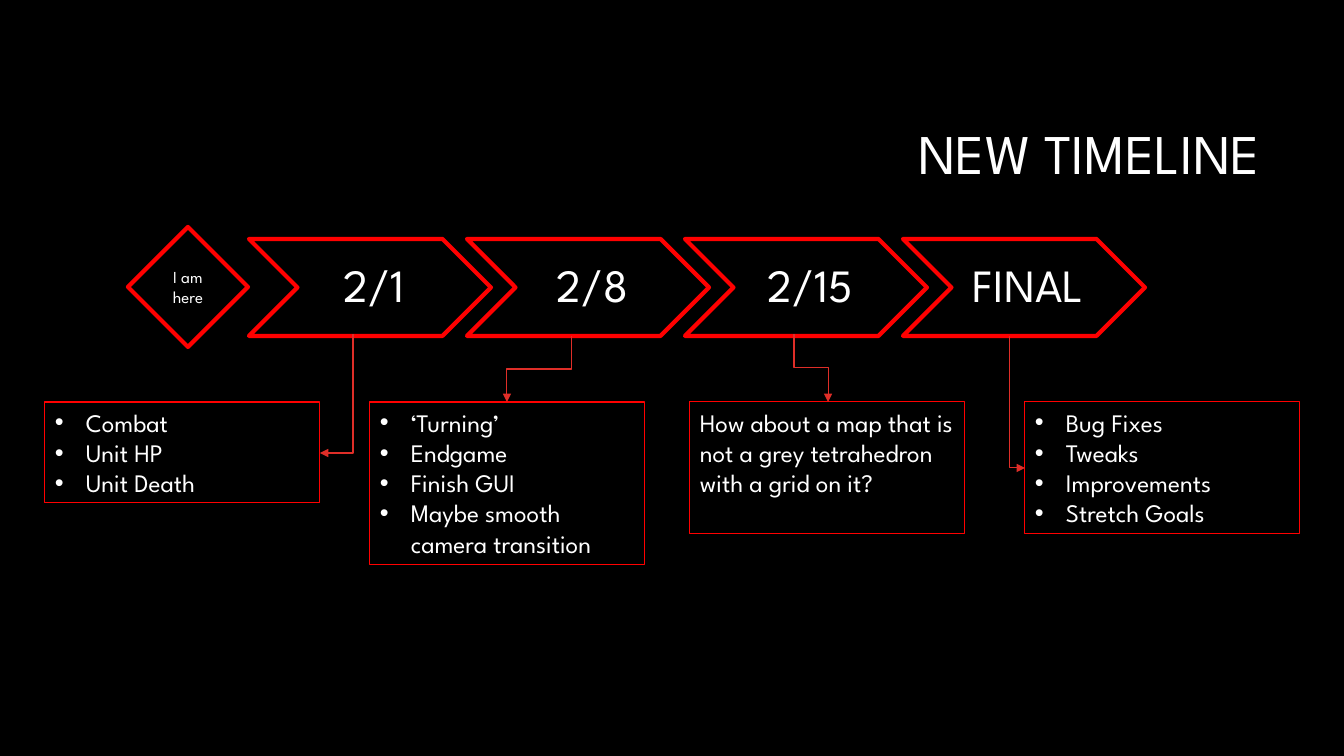
from pptx import Presentation
from pptx.dml.color import RGBColor
from pptx.enum.shapes import MSO_CONNECTOR, MSO_SHAPE as Shape
from pptx.enum.text import MSO_ANCHOR as Anchor, PP_ALIGN as Align
from pptx.oxml.ns import qn
from pptx.util import Emu, Pt
from lxml.etree import SubElement

BLACK = RGBColor(0x00, 0x00, 0x00)
WHITE = RGBColor(0xFF, 0xFF, 0xFF)
RED = RGBColor(0xFF, 0x00, 0x00)
ARROW_RED = RGBColor(0xDF, 0x2E, 0x28)
FONT = "League Spartan"

CHEVRON_LEFT, CHEVRON_PITCH = 249, 218
BOX_TOP, BOX_WIDTH = 402, 275

MILESTONES = ["2/1", "2/8", "2/15", "FINAL"]
TASKS = [
    (45, 101, True, ["Combat", "Unit HP", "Unit Death"]),
    (370, 163, True, ["‘Turning’", "Endgame", "Finish GUI", "Maybe smooth camera transition"]),
    (690, 132, False, ["How about a map that is not a grey tetrahedron with a grid on it?"]),
    (1025, 132, True, ["Bug Fixes", "Tweaks", "Improvements", "Stretch Goals"]),
]
ARROWS = [
    ("bentConnector2", (353, 334), (320, 453)),
    ("bentConnector3", (572, 336), (507, 402)),
    ("bentConnector3", (794, 334), (828, 402)),
    ("bentConnector2", (1010, 336), (1025, 468)),
]


def px(value):
    return Emu(round(value * 914400 / 100.8))


def add_bullet(paragraph):
    properties = paragraph._p.get_or_add_pPr()
    properties.set("marL", str(px(31)))
    properties.set("indent", str(-px(31)))
    SubElement(properties, qn("a:buFont"), typeface="Arial")
    SubElement(properties, qn("a:buChar"), char="•")


def write(shape, lines, size, align, anchor, spacing=1.0, bulleted=False):
    frame = shape.text_frame
    frame.text = "\n".join(lines)
    frame.word_wrap = True
    frame.vertical_anchor = anchor
    for paragraph in frame.paragraphs:
        paragraph.alignment = align
        paragraph.line_spacing = spacing
        if bulleted:
            add_bullet(paragraph)
        for run in paragraph.runs:
            run.font.name = FONT
            run.font.size = Pt(size)
            run.font.color.rgb = WHITE


def add_outlined(slide, kind, left, top, width, height, line_width):
    shape = slide.shapes.add_shape(kind, px(left), px(top), px(width), px(height))
    shape.shadow.inherit = False
    shape.fill.solid()
    shape.fill.fore_color.rgb = BLACK
    shape.line.color.rgb = RED
    shape.line.width = Pt(line_width)
    return shape


def add_title(slide, text):
    box = slide.shapes.add_textbox(px(320), px(85), px(950), px(142))
    write(box, [text], 40, Align.RIGHT, Anchor.MIDDLE, 0.9)


def add_marker(slide, text):
    diamond = add_outlined(slide, Shape.DIAMOND, 128, 227, 120, 120, 3)
    write(diamond, [text], 12, Align.CENTER, Anchor.MIDDLE)


def add_milestone(slide, index, text):
    left = CHEVRON_LEFT + index * CHEVRON_PITCH
    chevron = add_outlined(slide, Shape.CHEVRON, left, 239, 242, 97, 3)
    write(chevron, [text], 33, Align.CENTER, Anchor.MIDDLE, 0.9)
    frame = chevron.text_frame
    frame.margin_left = px(14)
    frame.margin_right = px(5)


def add_task_box(slide, left, height, bulleted, lines):
    box = add_outlined(slide, Shape.RECTANGLE, left, BOX_TOP, BOX_WIDTH, height, 0.75)
    box.fill.background()
    write(box, lines, 18, Align.LEFT, Anchor.TOP, bulleted=bulleted)


def add_bent_arrow(slide, preset, start, end):
    (x1, y1), (x2, y2) = start, end
    center_x, center_y = (x1 + x2) / 2, (y1 + y2) / 2
    half_width, half_height = (y2 - y1) / 2, abs(x2 - x1) / 2
    arrow = slide.shapes.add_connector(
        MSO_CONNECTOR.ELBOW,
        px(center_x - half_width), px(center_y - half_height),
        px(center_x + half_width), px(center_y + half_height))
    properties = arrow._element.spPr
    properties.find(qn("a:prstGeom")).set("prst", preset)
    transform = properties.find(qn("a:xfrm"))
    if x2 > x1:
        transform.set("rot", str(270 * 60000))
        transform.set("flipH", "1")
    else:
        transform.set("rot", str(90 * 60000))
    arrow.line.color.rgb = ARROW_RED
    arrow.line.width = Pt(0.75)
    SubElement(properties.find(qn("a:ln")), qn("a:tailEnd"), type="triangle")
    SubElement(properties, qn("a:effectLst"))


def main():
    presentation = Presentation()
    presentation.slide_width = px(1344)
    presentation.slide_height = px(756)
    slide = presentation.slides.add_slide(presentation.slide_layouts[6])
    slide.background.fill.solid()
    slide.background.fill.fore_color.rgb = BLACK

    add_title(slide, "NEW TIMELINE")
    add_marker(slide, "I am here")
    for index, text in enumerate(MILESTONES):
        add_milestone(slide, index, text)
    for task in TASKS:
        add_task_box(slide, *task)
    for arrow in ARROWS:
        add_bent_arrow(slide, *arrow)

    presentation.save("out.pptx")


if __name__ == "__main__":
    main()
